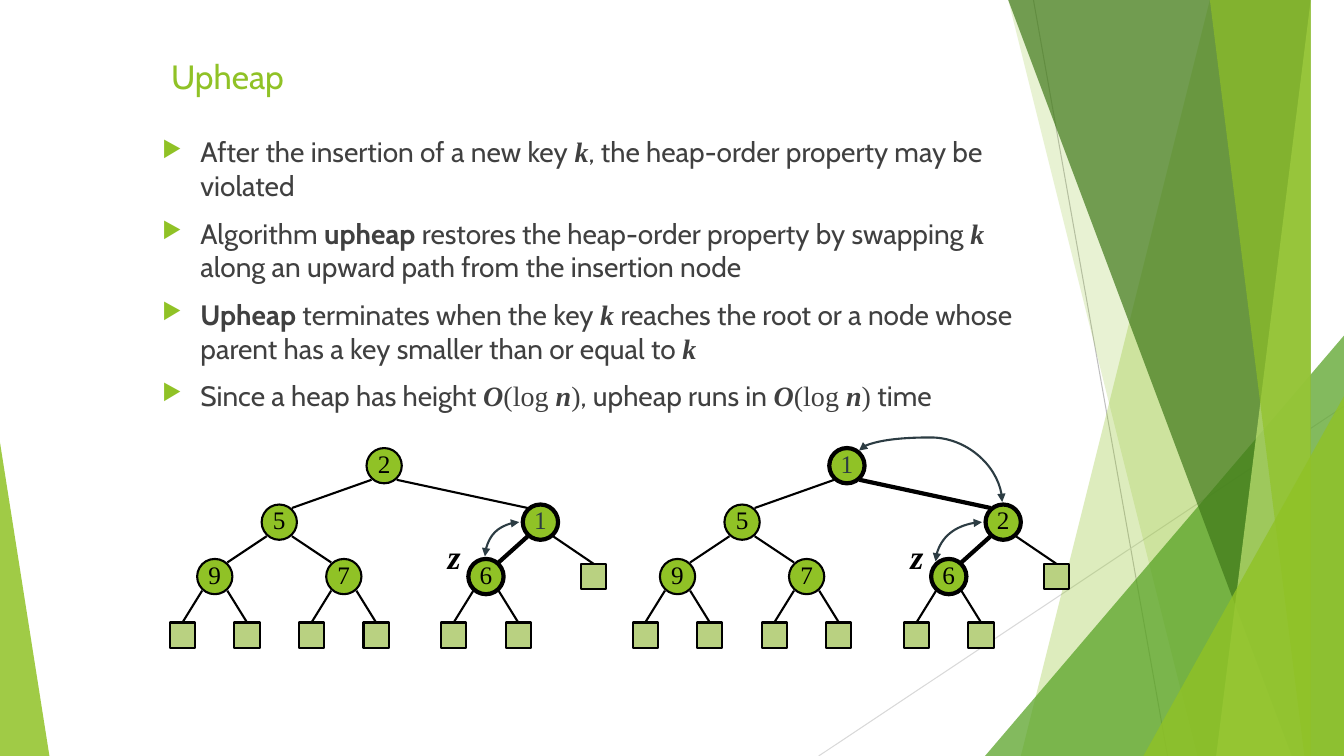
from pptx import Presentation
from pptx.dml.color import RGBColor
from pptx.enum.shapes import MSO_CONNECTOR, MSO_SHAPE
from pptx.enum.text import MSO_ANCHOR, MSO_AUTO_SIZE, PP_ALIGN
from pptx.oxml.ns import qn
from pptx.util import Inches, Pt
from lxml import etree

STRAIGHT, CURVE = MSO_CONNECTOR.STRAIGHT, MSO_CONNECTOR.CURVE
OVAL, SQUARE, TRIANGLE = MSO_SHAPE.OVAL, MSO_SHAPE.RECTANGLE, MSO_SHAPE.ISOSCELES_TRIANGLE
MIDDLE, TOP, CENTER = MSO_ANCHOR.MIDDLE, MSO_ANCHOR.TOP, PP_ALIGN.CENTER
FIT = MSO_AUTO_SIZE.SHAPE_TO_FIT_TEXT

LIME = RGBColor(0x90, 0xC2, 0x26)
GREEN = RGBColor(0x54, 0xA0, 0x21)
FOREST = RGBColor(0x3F, 0x78, 0x19)
PALE_LIME = RGBColor(0xC0, 0xE4, 0x74)
LEAF_GREEN = RGBColor(0xB9, 0xD1, 0x81)
BLACK = RGBColor(0, 0, 0)
SLATE = RGBColor(0x2C, 0x3C, 0x43)
CHARCOAL = RGBColor(0x40, 0x40, 0x40)
GRAY = RGBColor(0xBF, 0xBF, 0xBF)
LIGHT_GRAY = RGBColor(0xD9, 0xD9, 0xD9)

SANS, SERIF = "Cabin", "Times New Roman"
PLAIN, STRONG = (SANS, False, False), (SANS, True, False)
MATH, FORMULA = (SERIF, True, True), (SERIF, False, False)
LOG_N = [("O", MATH), ("(log ", FORMULA), ("n", MATH), (")", FORMULA)]
POINTS = [
    [("After the insertion of a new key ", PLAIN), ("k", MATH),
     (", the heap-order property may be violated", PLAIN)],
    [("Algorithm ", PLAIN), ("upheap", STRONG),
     (" restores the heap-order property by swapping ", PLAIN), ("k", MATH),
     (" along an upward path from the insertion node", PLAIN)],
    [("Upheap", STRONG), (" terminates when the key ", PLAIN), ("k", MATH),
     (" reaches the root or a node whose parent has a key smaller than or equal to ", PLAIN),
     ("k", MATH)],
    [("Since a heap has height ", PLAIN), *LOG_N, (", upheap runs in ", PLAIN), *LOG_N,
     (" time", PLAIN)],
]

NODE, LEAF = 0.35, 0.25
CORNER_X, CORNER_Y = 0.125, 0.14
NODES = {"root": (2.13, 0.18), "left": (1.09, 0.74), "right": (3.68, 0.74),
         "nine": (0.45, 1.28), "seven": (1.73, 1.28), "z": (3.14, 1.28)}
BRANCHES = [("root", "left"), ("root", "right"), ("left", "nine"),
            ("left", "seven"), ("right", "z")]
LEAVES = [(parent, NODES[parent][0] + side * 0.32, 1.86)
          for parent in ("nine", "seven", "z") for side in (-1, 1)]
LEAVES.append(("right", 4.21, 1.28))


def add_child(element, tag, **attributes):
    return etree.SubElement(element, qn(tag), attributes)


def paint(shape, color, opacity=100):
    shape.shadow.inherit = False
    shape.fill.solid()
    shape.fill.fore_color.rgb = color
    shape.line.fill.background()
    if opacity < 100:
        tint = shape._element.spPr.find(qn("a:solidFill"))[0]
        add_child(tint, "a:alpha", val=str(opacity * 1000))


def draw_line(slide, start, end, color, width, kind=STRAIGHT):
    ends = [Inches(value) for value in (*start, *end)]
    line = slide.shapes.add_connector(kind, *ends)
    line.line.color.rgb = color
    line.line.width = Pt(width)
    add_child(line._element.spPr, "a:effectLst")
    return line


def draw_swap_arrow(slide, start, end):
    arrow = draw_line(slide, start, end, SLATE, 1.5, CURVE)
    properties = arrow._element.spPr
    properties.find(qn("a:prstGeom")).set("prst", "curvedConnector2")
    outline = properties.find(qn("a:ln"))
    for tip in ("a:headEnd", "a:tailEnd"):
        add_child(outline, tip, type="triangle")
    return arrow


def draw_arch_arrow(slide, start, end, bulge):
    center_x, center_y = (start[0] + end[0]) / 2, (start[1] + end[1]) / 2
    half_w, half_h = (start[1] - end[1]) / 2, (start[0] - end[0]) / 2
    arrow = draw_swap_arrow(slide, (center_x + half_w, center_y - half_h),
                            (center_x - half_w, center_y + half_h))
    arrow._element.spPr.find(qn("a:xfrm")).set("rot", "5400000")
    geometry = arrow._element.spPr.find(qn("a:prstGeom"))
    geometry.set("prst", "curvedConnector3")
    add_child(geometry.find(qn("a:avLst")), "a:gd", name="adj1", fmla=f"val {bulge}")


def draw_backdrop(slide, width, height):
    def band(top_x, bottom_x, color, opacity):
        outline = slide.shapes.build_freeform(top_x, -0.01, scale=Inches(1))
        outline.add_line_segments([(width, -0.01), (width, height), (bottom_x, height)])
        paint(outline.convert_to_shape(), color, opacity)

    def wedge(left, top, wedge_width, apex, color, opacity):
        shape = slide.shapes.add_shape(TRIANGLE, Inches(left), Inches(top),
                                       Inches(wedge_width), Inches(height - top))
        shape.adjustments[0] = apex
        paint(shape, color, opacity)

    draw_line(slide, (10.25, 0), (11.58, height), GRAY, 0.75)
    draw_line(slide, (width, 4.03), (8.12, height), LIGHT_GRAY, 0.75)
    band(12.28, 10.04, LIME, 30)
    band(10.5, 11.83, LIME, 20)
    wedge(9.77, 3.33, 3.56, 1, GREEN, 72)
    band(10.21, 12.91, FOREST, 70)
    band(13.03, 11.92, PALE_LIME, 70)
    band(11.96, 13.18, LIME, 65)
    wedge(11.34, 3.93, 1.99, 1, LIME, 80)
    wedge(0, 4.39, 0.49, 0, LIME, 85)


def add_text_frame(slide, left, top, width, height):
    box = slide.shapes.add_textbox(Inches(left), Inches(top), Inches(width), Inches(height))
    box.text_frame.word_wrap = True
    box.text_frame.vertical_anchor = TOP
    return box.text_frame


def style(font, size, color, face, bold=False, italic=False):
    font.size, font.name = Pt(size), face
    font.bold, font.italic = bold, italic
    font.color.rgb = color


def write_title(slide, left, top, width, height):
    title = add_text_frame(slide, left, top, width, height)
    title.text = "Upheap"
    style(title.paragraphs[0].runs[0].font, 24, LIME, SANS)


def write_points(slide, left, top, width, height):
    body = add_text_frame(slide, left, top, width, height)
    for index, point in enumerate(POINTS):
        paragraph = body.add_paragraph() if index else body.paragraphs[0]
        if index:
            paragraph.space_before = Pt(10)
        properties = paragraph._p.get_or_add_pPr()
        properties.set("marL", str(Inches(0.38)))
        properties.set("indent", str(-Inches(0.38)))
        add_child(add_child(properties, "a:buClr"), "a:srgbClr", val=str(LIME))
        add_child(properties, "a:buSzPct", val="80000")
        add_child(properties, "a:buChar", char="▶")
        for words, (face, bold, italic) in point:
            run = paragraph.add_run()
            run.text = words
            style(run.font, 20, CHARCOAL, face, bold, italic)


def draw_heap(slide, left, top, keys, heavy):
    def mark(kind, x, y, size, color, weight):
        shape = slide.shapes.add_shape(kind, Inches(x - size / 2), Inches(y - size / 2),
                                       Inches(size), Inches(size))
        paint(shape, color)
        shape.line.color.rgb = BLACK
        shape.line.width = Pt(weight)
        return shape

    centers = {name: (left + x, top + y) for name, (x, y) in NODES.items()}
    for parent, child in BRANCHES:
        (px, py), (cx, cy) = centers[parent], centers[child]
        side = 1 if cx > px else -1
        weight = 3 if {parent, child} <= heavy else 1.5
        draw_line(slide, (px + side * CORNER_X, py + CORNER_Y),
                  (cx - side * CORNER_X, cy - CORNER_Y), BLACK, weight)
    for parent, x, y in LEAVES:
        px, py = centers[parent]
        cx, cy = left + x, top + y
        side = 1 if cx > px else -1
        draw_line(slide, (px + side * CORNER_X, py + CORNER_Y), (cx, cy - LEAF / 2), BLACK, 1.5)
        mark(SQUARE, cx, cy, LEAF, LEAF_GREEN, 1.5)
    for name, key in keys.items():
        node = mark(OVAL, *centers[name], NODE, LIME, 3 if name in heavy else 1.5)
        label = node.text_frame
        label.margin_left = label.margin_right = label.margin_top = 0
        label.margin_bottom = Inches(0.05)
        label.word_wrap = False
        label.vertical_anchor = MIDDLE
        label.text = key
        label.paragraphs[0].alignment = CENTER
        style(label.paragraphs[0].runs[0].font, 18, SLATE if key == "1" else BLACK, SERIF)
    zx, zy = centers["z"]
    z_label = add_text_frame(slide, zx - 0.48, zy - 0.45, 0.33, 0.5)
    z_label.word_wrap = False
    z_label.auto_size = FIT
    z_label.text = "z"
    z_label.paragraphs[0].alignment = CENTER
    style(z_label.paragraphs[0].runs[0].font, 24, BLACK, SERIF, True, True)


def main():
    deck = Presentation()
    deck.slide_width, deck.slide_height = Inches(13.33), Inches(7.5)
    slide = deck.slides.add_slide(deck.slide_layouts[6])
    draw_backdrop(slide, 13.33, 7.5)
    write_title(slide, 1.6, 0.51, 9, 0.58)
    write_points(slide, 1.51, 1.29, 8.83, 2.67)
    before = {"root": "2", "left": "5", "right": "1", "nine": "9", "seven": "7", "z": "6"}
    draw_heap(slide, 1.68, 4.44, before, {"right", "z"})
    draw_heap(slide, 6.27, 4.44, {**before, "root": "1", "right": "2"}, {"root", "right", "z"})
    draw_arch_arrow(slide, (9.94, 4.98), (8.52, 4.47), 125600)
    draw_swap_arrow(slide, (9.74, 5.18), (9.28, 5.57))
    draw_swap_arrow(slide, (5.15, 5.18), (4.81, 5.52))
    deck.save("out.pptx")


if __name__ == "__main__":
    main()
